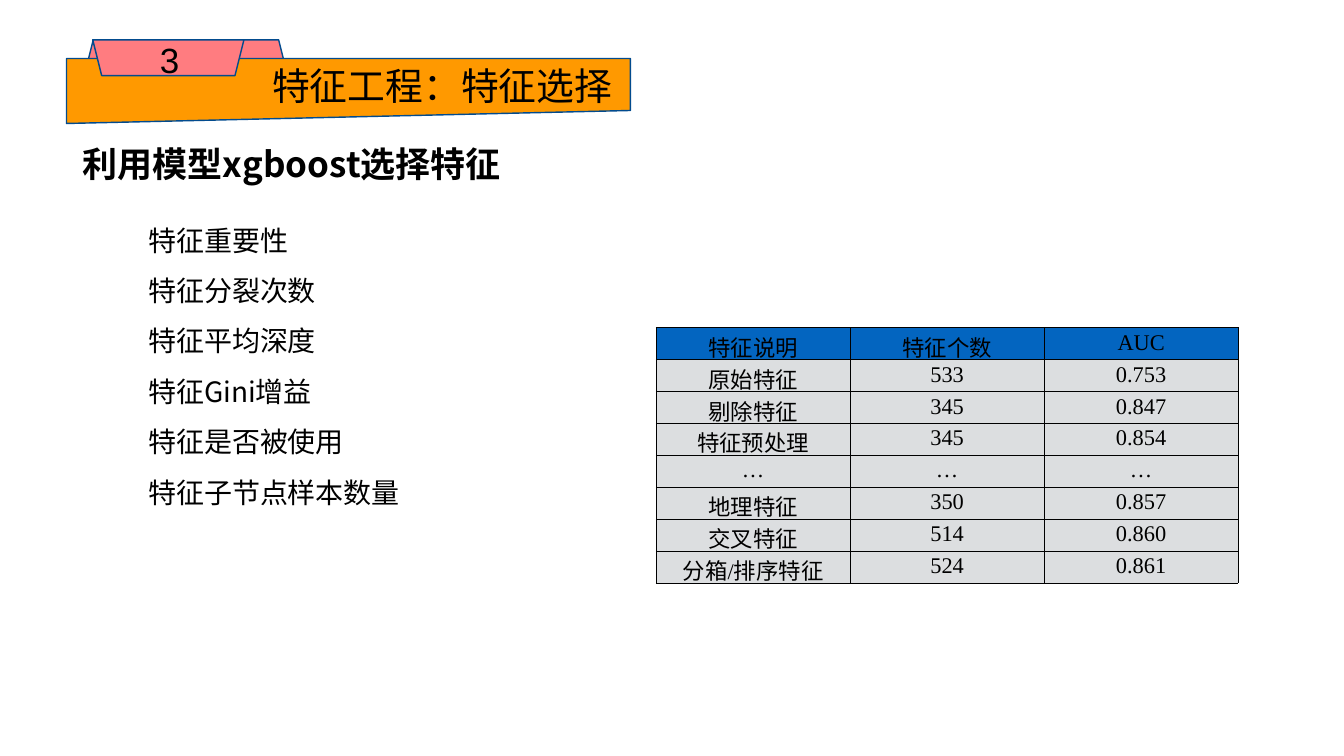
from lxml.etree import SubElement
from pptx import Presentation
from pptx.dml.color import RGBColor
from pptx.enum.shapes import MSO_SHAPE
from pptx.enum.text import MSO_ANCHOR, MSO_AUTO_SIZE, PP_ALIGN
from pptx.oxml.ns import qn
from pptx.util import Inches, Pt

TRAPEZOID = MSO_SHAPE.TRAPEZOID
MANUAL_INPUT = MSO_SHAPE.FLOWCHART_MANUAL_INPUT
MIDDLE = MSO_ANCHOR.MIDDLE
GROW = MSO_AUTO_SIZE.SHAPE_TO_FIT_TEXT
LEFT, CENTER = PP_ALIGN.LEFT, PP_ALIGN.CENTER

CJK = "Noto Sans CJK SC"
BLACK, NAVY, PINK, ORANGE = "000000", "024B8E", "FF7C80", "FF9900"
HEADER_BLUE, ROW_GRAY = "0365C0", "DCDEE0"

BANNER = [
    (TRAPEZOID, (1.62, 0.79, 4.14, 0.92), 0, PINK),
    (MANUAL_INPUT, (1.32, 1.16, 11.19, 1.29), 180, ORANGE),
    (TRAPEZOID, (1.84, 0.79, 3, 0.71), 180, PINK),
]
MEASURES = ["特征重要性", "特征分裂次数", "特征平均深度",
            "特征Gini增益", "特征是否被使用", "特征子节点样本数量"]
TEXTS = [
    (MEASURES, (2.88, 4.01, 19.78, 6.17), CJK, 40, False, LEFT, 1.5),
    (["特征工程：特征选择"], (5.04, 1.18, 7.47, 1.02), CJK, 54, False, CENTER, 1),
    (["利用模型xgboost选择特征"], (1.58, 2.76, 10.67, 0.95), CJK, 50, True, LEFT, 1),
    (["3"], (2.88, 0.7, 0.97, 0.95), "Arial", 50, False, CENTER, 1),
]
RESULTS = [
    ("特征说明", "特征个数", "AUC"),
    ("原始特征", "533", "0.753"),
    ("剔除特征", "345", "0.847"),
    ("特征预处理", "345", "0.854"),
    ("…", "…", "…"),
    ("地理特征", "350", "0.857"),
    ("交叉特征", "514", "0.860"),
    ("分箱/排序特征", "524", "0.861"),
]
TABLE_LEFT, TABLE_TOP = 13.02, 6.5
COLUMN_WIDTH, ROW_HEIGHT = 3.85, 0.61


def color(value):
    return RGBColor.from_string(value)


def place(bounds):
    return [Inches(length) for length in bounds]


def style(para, font_name, size, bold, align):
    para.alignment = align
    font = para.font
    font.size = Pt(size)
    font.bold = bold
    font.color.rgb = color(BLACK)
    font.name = font_name
    if font_name == CJK:
        defaults = para._p.pPr.find(qn("a:defRPr"))
        SubElement(defaults, qn("a:ea"), typeface=CJK)


def add_banner_part(page, preset, bounds, rotation, fill):
    part = page.shapes.add_shape(preset, *place(bounds))
    part.shadow.inherit = False
    part.rotation = rotation
    part.fill.solid()
    part.fill.fore_color.rgb = color(fill)
    part.line.color.rgb = color(NAVY)
    part.line.width = Pt(2)


def add_text(page, lines, bounds, font_name, size, bold, align, spacing):
    frame = page.shapes.add_textbox(*place(bounds)).text_frame
    frame.word_wrap = True
    frame.auto_size = GROW
    frame.vertical_anchor = MIDDLE
    frame.margin_left = frame.margin_right = Inches(0.06)
    frame.margin_top = frame.margin_bottom = Inches(0.06)
    frame.text = "\n".join(lines)
    for para in frame.paragraphs:
        para.line_spacing = spacing
        style(para, font_name, size, bold, align)


def add_borders(cell):
    properties = cell._tc.get_or_add_tcPr()
    for index, side in enumerate(("lnL", "lnR", "lnT", "lnB")):
        border = SubElement(properties, qn(f"a:{side}"), w=str(Pt(1)))
        fill = SubElement(border, qn("a:solidFill"))
        SubElement(fill, qn("a:srgbClr"), val=BLACK)
        properties.insert(index, border)


def add_results(page):
    rows, columns = len(RESULTS), len(RESULTS[0])
    bounds = (TABLE_LEFT, TABLE_TOP, COLUMN_WIDTH * columns, ROW_HEIGHT * rows)
    table = page.shapes.add_table(rows, columns, *place(bounds)).table
    for row_index, values in enumerate(RESULTS):
        for column_index, value in enumerate(values):
            cell = table.cell(row_index, column_index)
            cell.text = value
            cell.fill.solid()
            cell.fill.fore_color.rgb = color(ROW_GRAY if row_index else HEADER_BLUE)
            style(cell.text_frame.paragraphs[0], "Times New Roman", 32, False, CENTER)
            add_borders(cell)


deck = Presentation()
deck.slide_width, deck.slide_height = Inches(26.67), Inches(15)
page = deck.slides.add_slide(deck.slide_layouts[6])
for part in BANNER:
    add_banner_part(page, *part)
for text in TEXTS:
    add_text(page, *text)
add_results(page)
deck.save("out.pptx")
